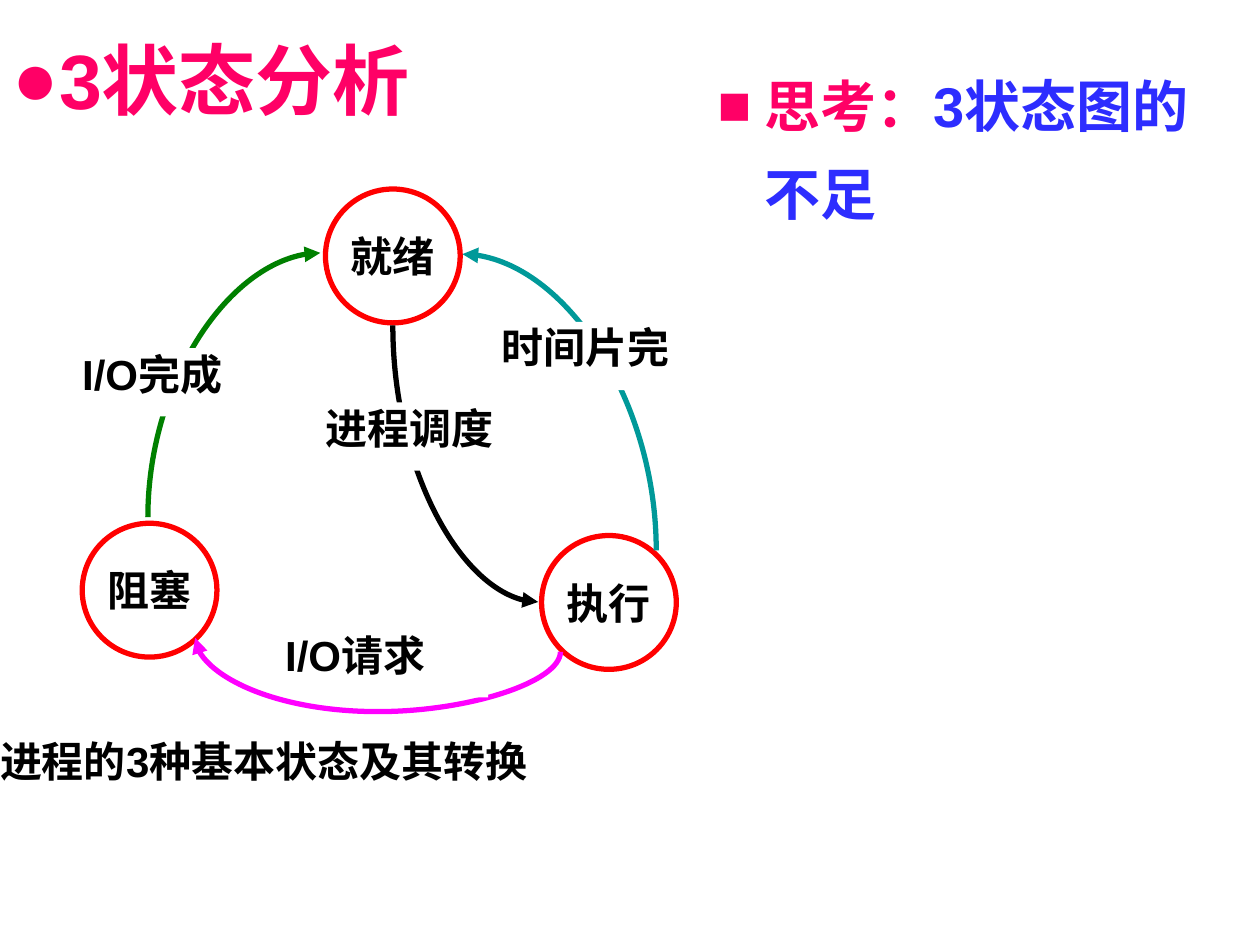
from lxml import etree
from pptx import Presentation
from pptx.dml.color import RGBColor
from pptx.enum.shapes import MSO_CONNECTOR, MSO_SHAPE
from pptx.enum.text import MSO_ANCHOR, MSO_AUTO_SIZE, PP_ALIGN
from pptx.oxml.ns import qn
from pptx.util import Pt

CURVE = MSO_CONNECTOR.CURVE
OVAL, RECTANGLE = MSO_SHAPE.OVAL, MSO_SHAPE.RECTANGLE
TOP, MIDDLE = MSO_ANCHOR.TOP, MSO_ANCHOR.MIDDLE
LEFT, CENTER = PP_ALIGN.LEFT, PP_ALIGN.CENTER
NO_AUTOFIT = MSO_AUTO_SIZE.NONE

# Content: lengths in points
FONT = "Arial"
PINK, BLUE, BLACK, WHITE, RED = "FF0066", "2D2DFF", "000000", "FFFFFF", "FF0000"
TITLE = "3状态分析"
QUESTION = [("思考：", PINK), ("3状态图的不足", BLUE)]
STATE_SIZE = (77, 76.5)
LABEL_HEIGHT = 39
STATES = [("就绪", 186, 108), ("阻塞", 47, 299), ("执行", 309.5, 306)]
# start, end, colour, bend (None for a quarter curve)
TRANSITIONS = [
    ((375, 314.5), (264.25, 145.25), "009999", None),
    ((224.5, 186), (307.5, 344), BLACK, None),
    ((84.5, 295.5), (183, 144.5), "008000", None),
    ((320.25, 372.5), (111.5, 364.5), "FF00FF", -4.28),
]
# text, left, top, width
LABELS = [
    ("进程调度", 186, 230, 139.5),
    ("I/O完成", 47, 199, 116),
    ("I/O请求", 163, 359.5, 116),
    ("时间片完", 286.5, 184, 139.5),
    ("进程的3种基本状态及其转换", 0, 420.5, 503),
]


def color(value):
    return RGBColor.from_string(value)


def format_run(run, size, value):
    run.font.name = FONT
    run.font.size = Pt(size)
    run.font.bold = True
    run.font.color.rgb = color(value)


def set_bullet(paragraph, character, indent):
    properties = paragraph._p.get_or_add_pPr()
    properties.set("marL", str(Pt(indent)))
    properties.set("indent", str(-Pt(indent)))
    etree.SubElement(properties, qn("a:buFont")).set("typeface", FONT)
    etree.SubElement(properties, qn("a:buChar")).set("char", character)


def add_box(slide, kind, text, left, top, width, height, alignment, anchor, wrap):
    shape = slide.shapes.add_shape(kind, Pt(left), Pt(top), Pt(width), Pt(height))
    shape.shadow.inherit = False
    shape.fill.solid()
    shape.fill.fore_color.rgb = color(WHITE)
    shape.line.fill.background()
    frame = shape.text_frame
    frame.margin_left = frame.margin_right = frame.margin_top = frame.margin_bottom = 0
    frame.word_wrap = wrap
    frame.vertical_anchor = anchor
    frame.text = text
    paragraph = frame.paragraphs[0]
    paragraph.alignment = alignment
    format_run(paragraph.runs[0], 24, BLACK)
    return shape


def add_transition(slide, start, end, value, bend):
    # A curve that leaves vertically is a horizontal one turned by 270 degrees
    middle_x, middle_y = (start[0] + end[0]) / 2, (start[1] + end[1]) / 2
    half_x, half_y = (start[1] - end[1]) / 2, (end[0] - start[0]) / 2
    connector = slide.shapes.add_connector(
        CURVE, Pt(middle_x - half_x), Pt(middle_y - half_y),
        Pt(middle_x + half_x), Pt(middle_y + half_y))
    connector.line.color.rgb = color(value)
    connector.line.width = Pt(3)
    properties = connector._element.spPr
    properties.find(qn("a:xfrm")).set("rot", str(270 * 60000))
    geometry = properties.find(qn("a:prstGeom"))
    if bend is None:
        geometry.set("prst", "curvedConnector2")
    else:
        guide = etree.SubElement(geometry.find(qn("a:avLst")), qn("a:gd"))
        guide.set("name", "adj1")
        guide.set("fmla", f"val {round(bend * 100000)}")
    etree.SubElement(connector.line._get_or_add_ln(), qn("a:tailEnd")).set("type", "triangle")
    etree.SubElement(properties, qn("a:effectLst"))


presentation = Presentation()
presentation.slide_width, presentation.slide_height = Pt(720), Pt(540)
slide = presentation.slides.add_slide(presentation.slide_layouts[5])

# State diagram
for text, left, top in STATES:
    state = add_box(slide, OVAL, text, left, top, *STATE_SIZE, CENTER, MIDDLE, False)
    state.line.color.rgb = color(RED)
    state.line.width = Pt(3)
for transition in TRANSITIONS:
    add_transition(slide, *transition)
for text, left, top, width in LABELS:
    add_box(slide, RECTANGLE, text, left, top, width, LABEL_HEIGHT, LEFT, TOP, True)

# Title
title = slide.shapes.title
title.left, title.top, title.width, title.height = Pt(0), Pt(0), Pt(648), Pt(90)
title.text_frame.text = TITLE
title.text_frame.vertical_anchor = MIDDLE
title.text_frame.auto_size = NO_AUTOFIT
paragraph = title.text_frame.paragraphs[0]
set_bullet(paragraph, "●", 0)
paragraph.alignment = LEFT
format_run(paragraph.runs[0], 44, PINK)

# Question
question = slide.shapes.add_textbox(Pt(403), Pt(26), Pt(304), Pt(356.5))
question.text_frame.word_wrap = True
paragraph = question.text_frame.paragraphs[0]
set_bullet(paragraph, "■", 27)
paragraph.line_spacing = 1.3
for text, value in QUESTION:
    run = paragraph.add_run()
    run.text = text
    format_run(run, 32, value)

presentation.save("out.pptx")
